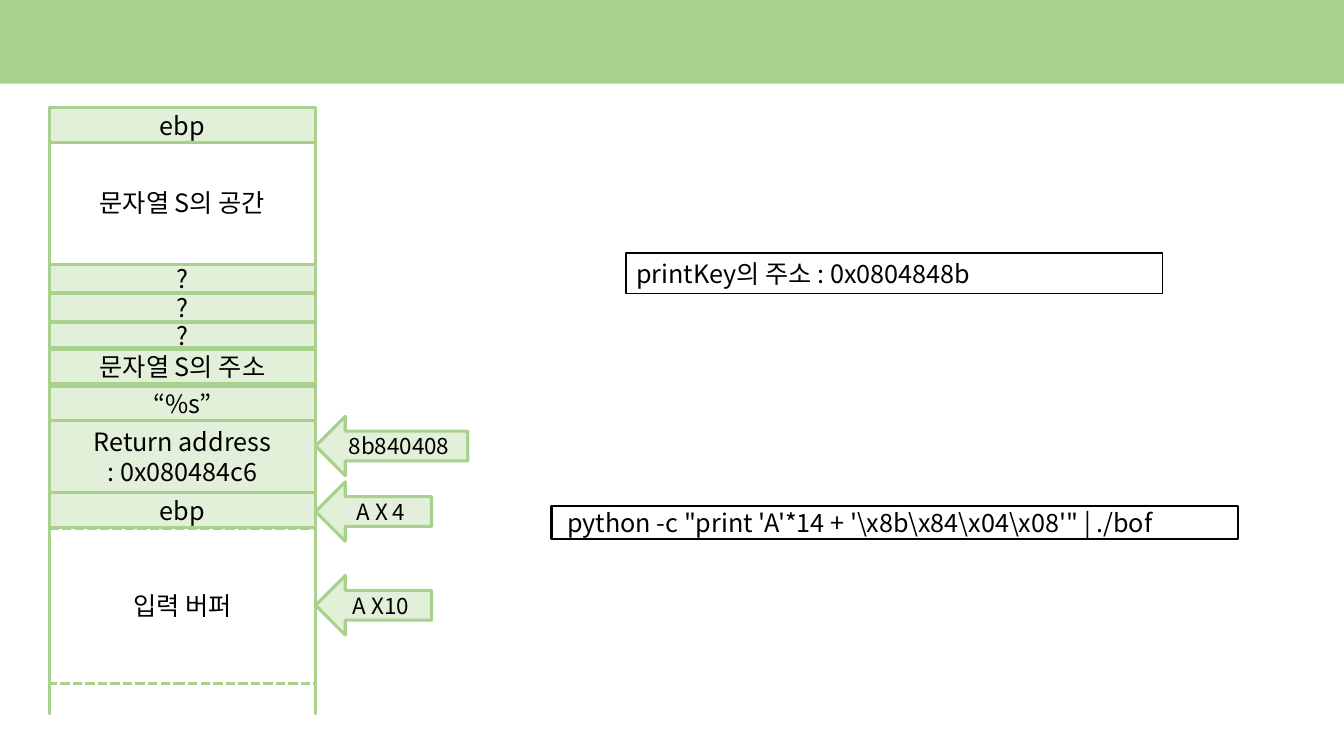
from dataclasses import dataclass

from lxml.etree import SubElement
from pptx import Presentation
from pptx.dml.color import RGBColor
from pptx.enum.dml import MSO_LINE
from pptx.enum.shapes import MSO_SHAPE
from pptx.enum.text import MSO_ANCHOR, PP_ALIGN
from pptx.oxml.ns import qn
from pptx.util import Inches, Pt


@dataclass(frozen=True)
class Theme:
    green: RGBColor = RGBColor(0xA9, 0xD1, 0x8E)
    pale_green: RGBColor = RGBColor(0xE2, 0xF0, 0xD9)
    white: RGBColor = RGBColor(0xFF, 0xFF, 0xFF)
    black: RGBColor = RGBColor(0, 0, 0)
    font: str = "Noto Sans CJK KR"
    body_size: int = 18
    arrow_size: int = 16
    stack_line: float = 2.25


@dataclass(frozen=True)
class Box:
    left: float
    top: float
    width: float
    height: float

    def inside(self, left, top, width, height):
        return Box(self.left + left, self.top + top, width, height)

    def lengths(self):
        return [GRID * value for value in (self.left, self.top, self.width, self.height)]


THEME = Theme()
GRID = Inches(0.01)
COLUMNS, ROWS = 1333, 750
HEADER_ROWS = 83

STACK_CELLS = [
    ("ebp", 0, 34),
    ("?", 121, 28),
    ("?", 1, 28),
    ("?", 1, 25),
    ("문자열 S의 주소", 2, 34),
    ("“%s”", 2, 34),
    ("Return address\n: 0x080484c6", 0, 72),
    ("ebp", 0, 34),
]
BUFFER_TOP, BUFFER_HEIGHT = 417, 154
ARROWS = [("A X10", 464, 115), ("A X 4", 371, 115), ("8b840408", 306, 151)]
ARROW_HEIGHT = 59


def write_text(shape, text, size=THEME.body_size, align=PP_ALIGN.CENTER, anchor=MSO_ANCHOR.MIDDLE):
    frame = shape.text_frame
    frame.text = text
    frame.word_wrap = True
    frame.vertical_anchor = anchor
    for paragraph in frame.paragraphs:
        paragraph.alignment = align
        paragraph.font.size = Pt(size)
        paragraph.font.color.rgb = THEME.black
        paragraph.font.name = THEME.font
        properties = paragraph._p.pPr.find(qn("a:defRPr"))
        SubElement(properties, qn("a:ea"), typeface=THEME.font)


def add_block(slide, box, fill=None, line=None, line_width=THEME.stack_line, preset=MSO_SHAPE.RECTANGLE):
    shape = slide.shapes.add_shape(preset, *box.lengths())
    shape.shadow.inherit = False
    if fill is None:
        shape.fill.background()
    else:
        shape.fill.solid()
        shape.fill.fore_color.rgb = fill
    if line is None:
        shape.line.fill.background()
    else:
        shape.line.color.rgb = line
        shape.line.width = Pt(line_width)
    return shape


def add_page(slide, box):
    slide.background.fill.solid()
    slide.background.fill.fore_color.rgb = THEME.green
    add_block(slide, box, THEME.white)


def add_stack(slide, box):
    add_block(slide, box, THEME.white, THEME.green)
    add_block(slide, box.inside(-9, box.height - 9, box.width + 18, 16), THEME.white)

    top = 0
    for label, gap, height in STACK_CELLS:
        top += gap
        cell = add_block(slide, box.inside(0, top, box.width, height), THEME.pale_green, THEME.green)
        write_text(cell, label)
        top += height

    buffer = add_block(slide, box.inside(0, BUFFER_TOP, box.width, BUFFER_HEIGHT), line=THEME.green)
    buffer.line.dash_style = MSO_LINE.SQUARE_DOT
    write_text(buffer, "입력 버퍼")

    string_label = slide.shapes.add_textbox(*box.inside(40, 74, 186, 40).lengths())
    write_text(string_label, "문자열 S의 공간", align=PP_ALIGN.LEFT, anchor=MSO_ANCHOR.TOP)


def add_arrows(slide, stack):
    for label, top, width in ARROWS:
        box = stack.inside(stack.width, top, width, ARROW_HEIGHT)
        arrow = add_block(slide, box, THEME.pale_green, THEME.green, preset=MSO_SHAPE.LEFT_ARROW)
        write_text(arrow, label, THEME.arrow_size)


def add_note(slide, box, text, line_width, anchor):
    note = add_block(slide, box, line=THEME.black, line_width=line_width)
    write_text(note, text, align=PP_ALIGN.LEFT, anchor=anchor)


def main():
    presentation = Presentation()
    presentation.slide_width = GRID * COLUMNS
    presentation.slide_height = GRID * ROWS
    slide = presentation.slides.add_slide(presentation.slide_layouts[6])

    stack = Box(49, 107, 264, 611)
    add_page(slide, Box(0, HEADER_ROWS, COLUMNS, ROWS - HEADER_ROWS))
    add_stack(slide, stack)
    add_arrows(slide, stack)
    command = r""" python -c "print 'A'*14 + '\x8b\x84\x04\x08'" | ./bof"""
    add_note(slide, Box(547, 502, 681, 33), command, 1.5, MSO_ANCHOR.MIDDLE)
    add_note(slide, Box(621, 251, 532, 40), "printKey의 주소 : 0x0804848b", 1, MSO_ANCHOR.TOP)
    presentation.save("out.pptx")


if __name__ == "__main__":
    main()
